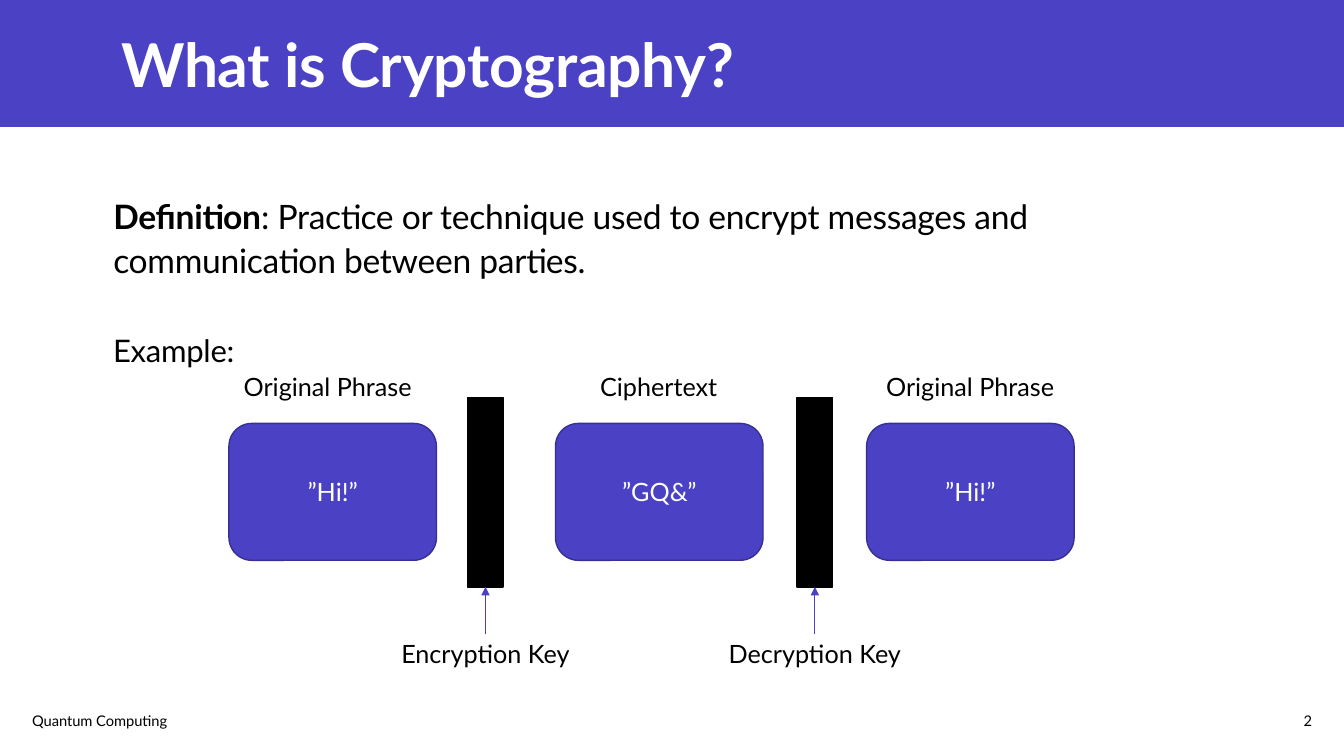
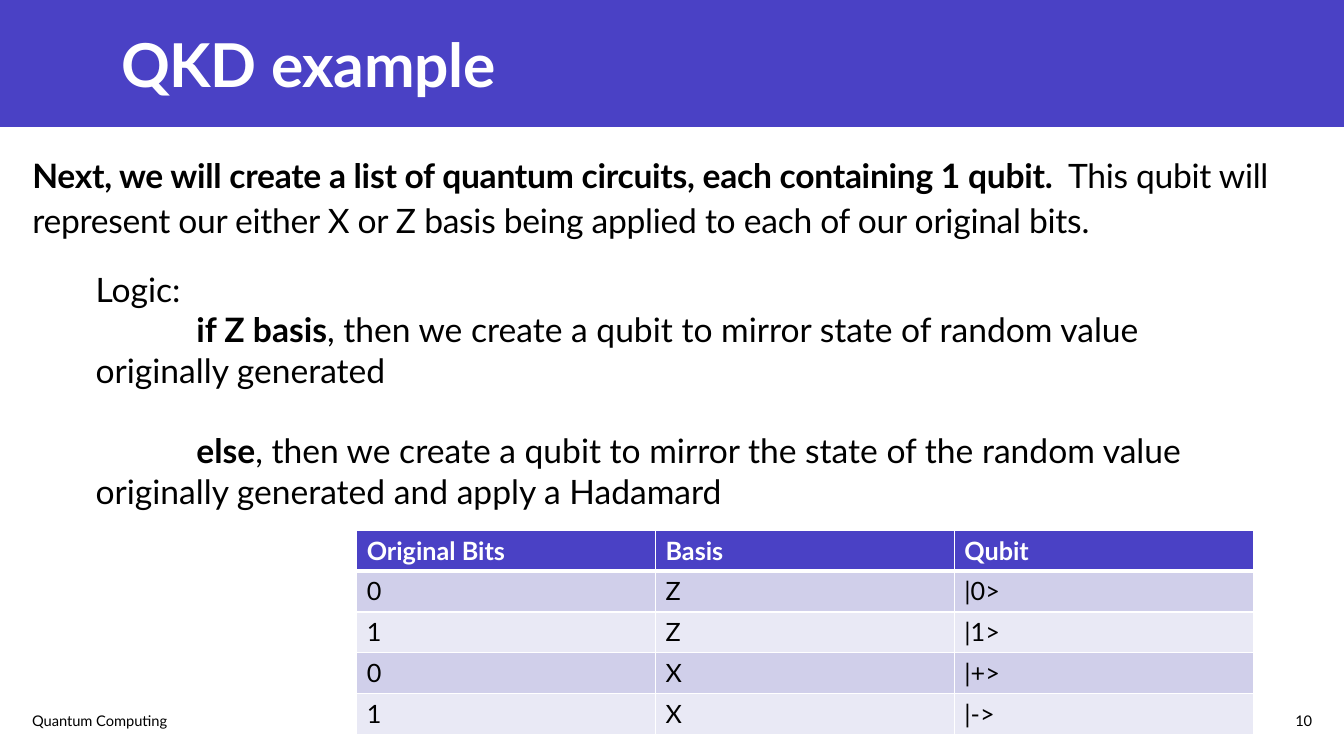
import pptx
import pptx.dml.color
import pptx.enum.shapes
import pptx.enum.text
import pptx.oxml
import pptx.oxml.ns
import pptx.util

Cm, Pt = pptx.util.Cm, pptx.util.Pt
RGB = pptx.dml.color.RGBColor
SHAPE = pptx.enum.shapes.MSO_SHAPE
ALIGN, ANCHOR = pptx.enum.text.PP_ALIGN, pptx.enum.text.MSO_ANCHOR

# Shared look
FONT = "Lato"
INDIGO = RGB(0x4A, 0x41, 0xC5)
INDIGO_DARK = RGB(0x37, 0x30, 0x92)
LILAC = RGB(0xD0, 0xCF, 0xEA)
LILAC_PALE = RGB(0xE9, 0xE9, 0xF5)
WHITE = RGB(0xFF, 0xFF, 0xFF)
BLACK = RGB(0, 0, 0)
SLIDE_W, SLIDE_H, BAND_H = 33.87, 19.05, 3.2
TIGHT = -0.2

# Content: a paragraph is a string or a list of (text, bold) runs
FOOTER = "Quantum Computing"

CRYPTO_TITLE = "What is Cryptography?"
DEFINITION = [("Definition", True),
              (": Practice or technique used to encrypt messages and "
               "communication between parties.", False)]
EXAMPLE = "Example:"
# label, centre of label, message, left of box
STAGES = [("Original Phrase", 8.26, "”Hi!”", 5.77),
          ("Ciphertext", 16.6, "”GQ&”", 14),
          ("Original Phrase", 24.45, "”Hi!”", 21.84)]
# label, left of bar
KEYS = [("Encryption Key", 11.79), ("Decryption Key", 20.09)]

QKD_TITLE = "QKD example"
CIRCUITS = [("Next, we will create a list of quantum circuits, each containing 1 qubit.  ", True),
            ("This qubit will represent our either X or Z basis being applied "
             "to each of our original bits.", False)]
LOGIC = "Logic:"
BRANCHES = [[("if Z basis", True),
             (", then we create a qubit to mirror state of random value "
              "originally generated", False)],
            [("else", True),
             (", then we create a qubit to mirror the state of the random value "
              "originally generated and apply a Hadamard", False)]]
QUBITS = [("Original Bits", "Basis", "Qubit"),
          ("0", "Z", "|0>"),
          ("1", "Z", "|1>"),
          ("0", "X", "|+>"),
          ("1", "X", "|->")]


def sub(parent, tag, **attributes):
    child = pptx.oxml.parse_xml(
        f'<{tag} xmlns:a="{pptx.oxml.ns.nsuri("a")}"/>')
    for key, value in attributes.items():
        child.set(key, str(value))
    parent.append(child)
    return child


def write(frame, *paragraphs, size=18, color=BLACK, bold=False, align=ALIGN.LEFT,
          anchor=ANCHOR.TOP, line=1.0, before=0, spacing=0, plain=False):
    """Fill a text frame; plain drops a placeholder's bullet and indent."""
    frame.word_wrap = True
    frame.auto_size = pptx.enum.text.MSO_AUTO_SIZE.NONE
    frame.vertical_anchor = anchor
    for number, content in enumerate(paragraphs):
        paragraph = frame.add_paragraph() if number else frame.paragraphs[0]
        paragraph.alignment = align
        paragraph.line_spacing = line
        paragraph.space_before = Pt(before)
        if plain:
            properties = paragraph._p.get_or_add_pPr()
            properties.set("marL", "0")
            properties.set("indent", "0")
            sub(properties, "a:buNone")
        runs = [(content, bold)] if isinstance(content, str) else content
        for text, is_bold in runs:
            run = paragraph.add_run()
            run.text = text
            run.font.name = FONT
            run.font.size = Pt(size)
            run.font.bold = is_bold
            run.font.color.rgb = color
            if spacing:
                run._r.get_or_add_rPr().set("spc", str(round(spacing * 100)))


def place(shape, left, top, width, height):
    shape.left, shape.top = Cm(left), Cm(top)
    shape.width, shape.height = Cm(width), Cm(height)


def add_text(slide, box, *paragraphs, **style):
    frame = slide.shapes.add_textbox(*map(Cm, box)).text_frame
    write(frame, *paragraphs, **style)
    return frame


def add_block(slide, kind, box, fill, outline=None):
    block = slide.shapes.add_shape(kind, *map(Cm, box))
    block.shadow.inherit = False
    block.fill.solid()
    block.fill.fore_color.rgb = fill
    if outline is None:
        block.line.fill.background()
    else:
        block.line.color.rgb = outline
        block.line.width = Pt(1)
    return block


def add_arrow(slide, x, start, end):
    arrow = slide.shapes.add_connector(
        pptx.enum.shapes.MSO_CONNECTOR.STRAIGHT, Cm(x), Cm(start), Cm(x), Cm(end))
    arrow.line.color.rgb = INDIGO
    arrow.line.width = Pt(0.5)
    sub(arrow.line._get_or_add_ln(), "a:tailEnd", type="triangle")
    sub(arrow._element.spPr, "a:effectLst")


def add_slide(deck, title, page, body, body_box):
    slide = deck.slides.add_slide(deck.slide_layouts[1])
    heading, main_text = slide.placeholders
    place(heading, 2.8, 0.53, 26.16, 2.13)
    write(heading.text_frame, title, size=43.2, color=WHITE, bold=True,
          anchor=ANCHOR.MIDDLE, spacing=TIGHT)
    place(main_text, *body_box)
    write(main_text.text_frame, body, size=24, line=1.1, before=10,
          spacing=TIGHT, plain=True)
    add_text(slide, (0.56, 17.65, 13.44, 1.02), FOOTER, size=10.5, anchor=ANCHOR.MIDDLE)
    add_text(slide, (31.57, 17.65, 1.75, 1.02), page, size=10.5,
             align=ALIGN.RIGHT, anchor=ANCHOR.MIDDLE)
    return slide


def move_band_to_layout(deck, slide):
    band = add_block(slide, SHAPE.RECTANGLE, (0, 0, SLIDE_W, BAND_H), INDIGO)
    deck.slide_layouts[1].shapes.element.insert(2, band._element)


def draw_cipher(slide):
    box_w, box_h, box_top = 5.23, 3.45, 10.67
    key_w, key_h, key_top = 0.89, 4.78, 10.01
    label_top, key_label_top, label_h = 9.22, 15.97, 1.02

    def add_label(text, centre, top):
        add_text(slide, (centre - box_w / 2, top, box_w, label_h), text,
                 align=ALIGN.CENTER)

    for label, centre, message, left in STAGES:
        add_label(label, centre, label_top)
        box = add_block(slide, SHAPE.ROUNDED_RECTANGLE,
                        (left, box_top, box_w, box_h), INDIGO, INDIGO_DARK)
        write(box.text_frame, message, color=WHITE, align=ALIGN.CENTER,
              anchor=ANCHOR.MIDDLE)
    for label, left in KEYS:
        centre = left + key_w / 2
        add_block(slide, SHAPE.RECTANGLE, (left, key_top, key_w, key_h), BLACK, BLACK)
        add_arrow(slide, centre, key_label_top, key_top + key_h)
        add_label(label, centre, key_label_top)


def set_borders(cell, bottom):
    properties = cell._tc.get_or_add_tcPr()
    fill = properties[0]
    for side, width in (("L", 1), ("R", 1), ("T", 1), ("B", bottom)):
        border = sub(properties, f"a:ln{side}", w=Pt(width))
        sub(sub(border, "a:solidFill"), "a:srgbClr", val=WHITE)
    properties.append(fill)  # the schema wants the fill after the borders


def draw_qubits(slide):
    col_w, row_h = 7.53, 1.03
    columns = len(QUBITS[0])
    table = slide.shapes.add_table(
        len(QUBITS), columns, Cm(8.99), Cm(13.36),
        Cm(col_w * columns), Cm(row_h * len(QUBITS))).table
    for r, values in enumerate(QUBITS):
        table.rows[r].height = Cm(row_h)
        header = r == 0
        for c, value in enumerate(values):
            cell = table.cell(r, c)
            cell.fill.solid()
            cell.fill.fore_color.rgb = INDIGO if header else (LILAC_PALE, LILAC)[r % 2]
            write(cell.text_frame, value, bold=header, color=WHITE if header else BLACK)
            set_borders(cell, bottom=3 if header else 1)


def main():
    deck = pptx.Presentation()
    deck.slide_width, deck.slide_height = Cm(SLIDE_W), Cm(SLIDE_H)

    # Cryptography
    crypto = add_slide(deck, CRYPTO_TITLE, "2", DEFINITION, (2.6, 4.7, 28.7, 3.02))
    move_band_to_layout(deck, crypto)
    add_text(crypto, (2.6, 8.13, 29.7, 1.22), EXAMPLE, size=22.2, line=1.1,
             before=10, spacing=TIGHT)
    draw_cipher(crypto)

    # Key distribution
    qkd = add_slide(deck, QKD_TITLE, "10", CIRCUITS, (0.56, 3.68, 32.77, 2.9))
    logic = add_text(qkd, (2.16, 6.65, 29.2, 6.4), LOGIC, *BRANCHES, size=24)
    for paragraph in logic.paragraphs[1:]:
        paragraph._p.get_or_add_pPr().set("indent", str(Cm(2.54)))
    logic.paragraphs[-1].space_before = Pt(29)
    draw_qubits(qkd)

    deck.save("out.pptx")


if __name__ == "__main__":
    main()
